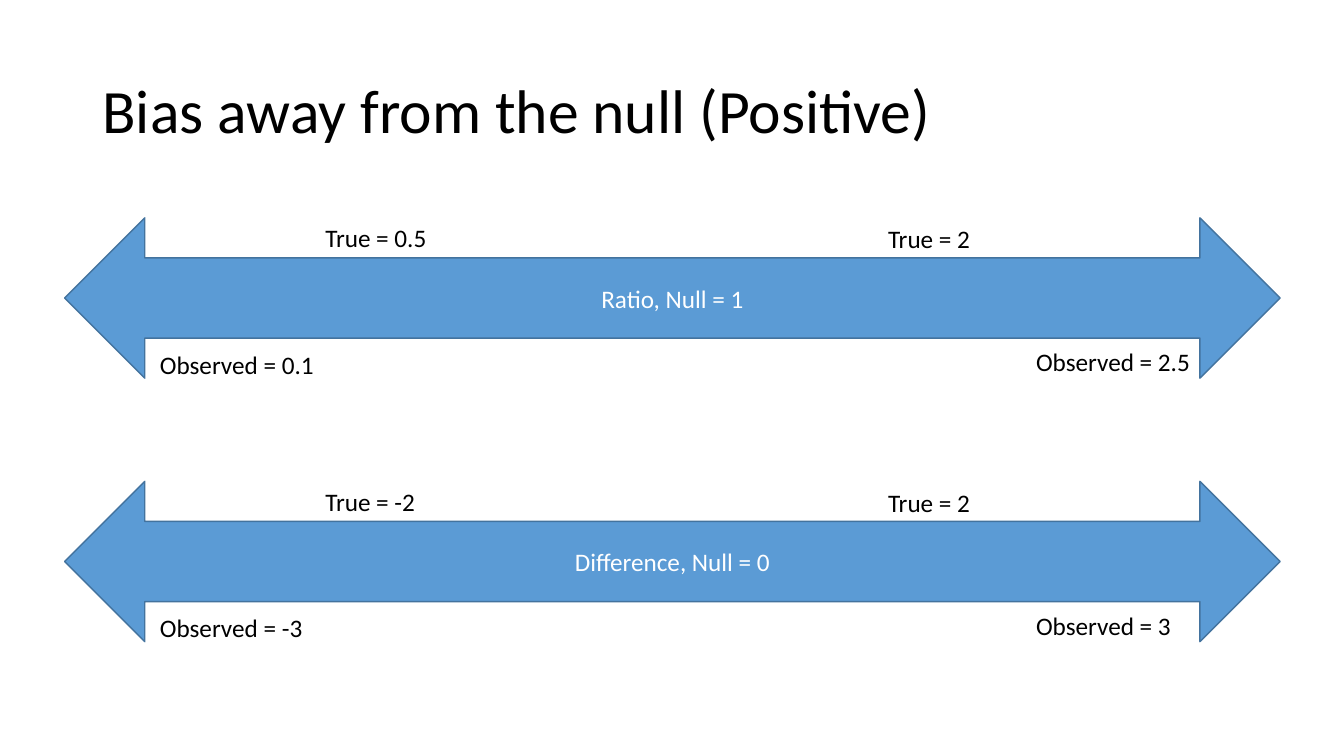
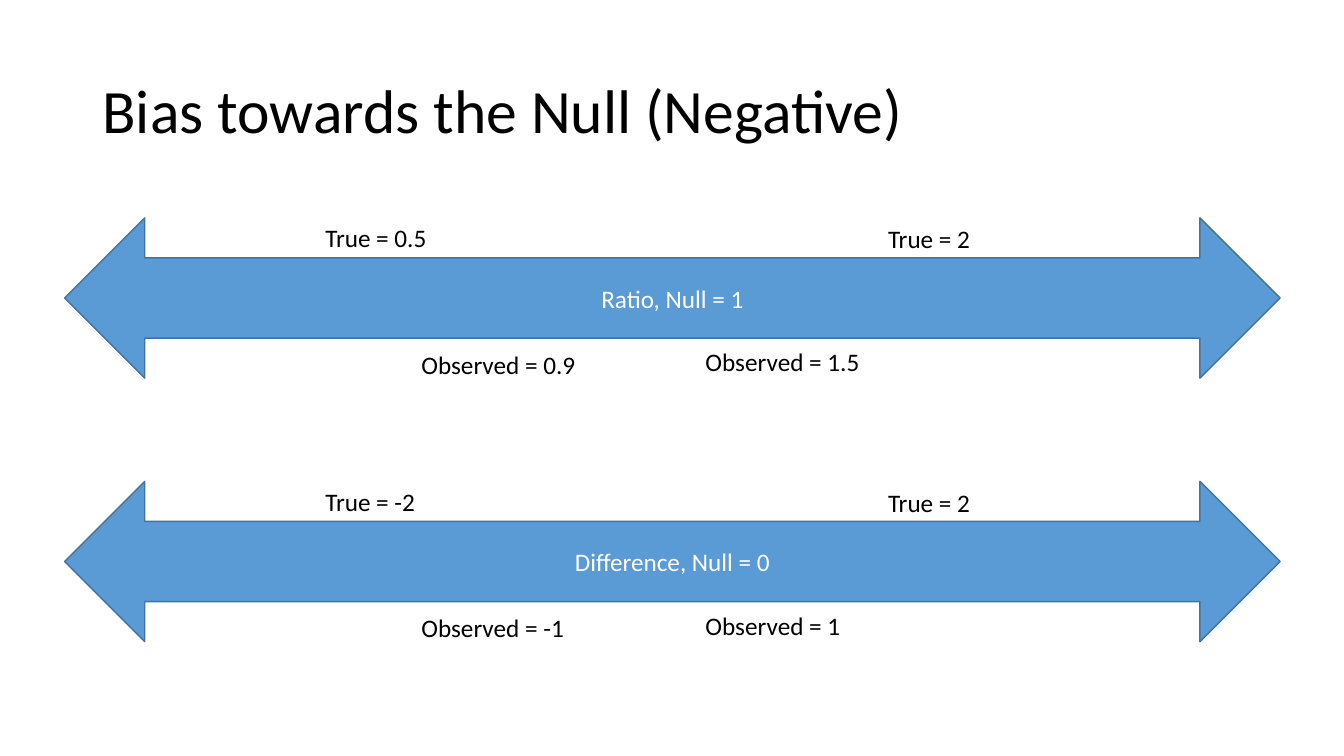
from dataclasses import dataclass

from pptx import Presentation
from pptx.dml.color import RGBColor
from pptx.enum.shapes import MSO_SHAPE
from pptx.enum.text import MSO_ANCHOR, MSO_AUTO_SIZE, PP_ALIGN
from pptx.util import Cm, Pt


@dataclass(frozen=True)
class Theme:
    font: str = "Calibri"
    ink: RGBColor = RGBColor(0x00, 0x00, 0x00)
    on_scale: RGBColor = RGBColor(0xFF, 0xFF, 0xFF)
    scale: RGBColor = RGBColor(0x5B, 0x9B, 0xD5)
    scale_edge: RGBColor = RGBColor(0x43, 0x73, 0x9E)
    title_size: Pt = Pt(44)
    body_size: Pt = Pt(18)


@dataclass(frozen=True)
class Box:
    left: float
    top: float
    width: float
    height: float

    def lengths(self):
        return Cm(self.left), Cm(self.top), Cm(self.width), Cm(self.height)

    def inner(self, left, top, width, height):
        return Box(self.left + left, self.top + top, width, height)


THEME = Theme()
TITLE_BOX = Box(2.33, 1.02, 29.21, 3.68)
SCALE_BOX = Box(1.63, 5.49, 30.63, 4.04)
SCALE_PITCH = 6.64
LABEL_HEIGHT = 1.02
TRUE_LEFT, TRUE_RIGHT = 6.32, 20.5  # offsets from the arrow's left tip
OBSERVED_WIDTH = 5.99


def write(frame, text, size, color, align=PP_ALIGN.LEFT, anchor=MSO_ANCHOR.TOP):
    frame.word_wrap = True
    frame.vertical_anchor = anchor
    paragraph = frame.paragraphs[0]
    paragraph.alignment = align
    run = paragraph.add_run()
    run.text = text
    run.font.name = THEME.font
    run.font.size = size
    run.font.color.rgb = color
    return paragraph


def add_title(slide, box, text):
    title = slide.shapes.title
    title.left, title.top, title.width, title.height = box.lengths()
    title.text_frame.auto_size = MSO_AUTO_SIZE.NONE
    heading = write(title.text_frame, text, THEME.title_size, THEME.ink,
                    anchor=MSO_ANCHOR.MIDDLE)
    heading.line_spacing = 0.9


def add_label(slide, box, text):
    label = slide.shapes.add_textbox(*box.lengths()).text_frame
    write(label, text, THEME.body_size, THEME.ink)
    label.auto_size = MSO_AUTO_SIZE.SHAPE_TO_FIT_TEXT


def add_scale(slide, box, measure, true_values, observed_values, observed_offsets):
    # Double arrow with the null value
    arrow = slide.shapes.add_shape(MSO_SHAPE.LEFT_RIGHT_ARROW, *box.lengths())
    arrow.shadow.inherit = False
    arrow.fill.solid()
    arrow.fill.fore_color.rgb = THEME.scale
    arrow.line.color.rgb = THEME.scale_edge
    arrow.line.width = Pt(1)
    write(arrow.text_frame, measure, THEME.body_size, THEME.on_scale,
          PP_ALIGN.CENTER, MSO_ANCHOR.MIDDLE)

    # True values above the shaft, observed values below it
    true_spots = ((TRUE_LEFT, 0, 3.1), (TRUE_RIGHT, 0.02, 2.82))
    observed_spots = zip(observed_offsets, (3.18, 3.12), (OBSERVED_WIDTH,) * 2)
    for word, values, spots in (("True", true_values, true_spots),
                                ("Observed", observed_values, observed_spots)):
        for value, (left, top, width) in zip(values, spots):
            add_label(slide, box.inner(left, top, width, LABEL_HEIGHT),
                      f"{word} = {value}")


def add_bias_slide(deck, title, observed_offsets, ratio_observed, difference_observed):
    slide = deck.slides.add_slide(deck.slide_layouts[5])
    add_title(slide, TITLE_BOX, title)
    scales = (("Ratio, Null = 1", ("0.5", "2"), ratio_observed),
              ("Difference, Null = 0", ("-2", "2"), difference_observed))
    for row, (measure, true_values, observed_values) in enumerate(scales):
        box = SCALE_BOX.inner(0, row * SCALE_PITCH, SCALE_BOX.width, SCALE_BOX.height)
        add_scale(slide, box, measure, true_values, observed_values, observed_offsets)


deck = Presentation()
deck.slide_width, deck.slide_height = Cm(33.87), Cm(19.05)

# Observed values lie outside the true values, then inside them
add_bias_slide(deck, "Bias away from the null (Positive)", (2.15, 24.23),
               ("0.1", "2.5"), ("-3", "3"))
add_bias_slide(deck, "Bias towards the Null (Negative)", (8.74, 15.9),
               ("0.9", "1.5"), ("-1", "1"))

deck.save("out.pptx")
